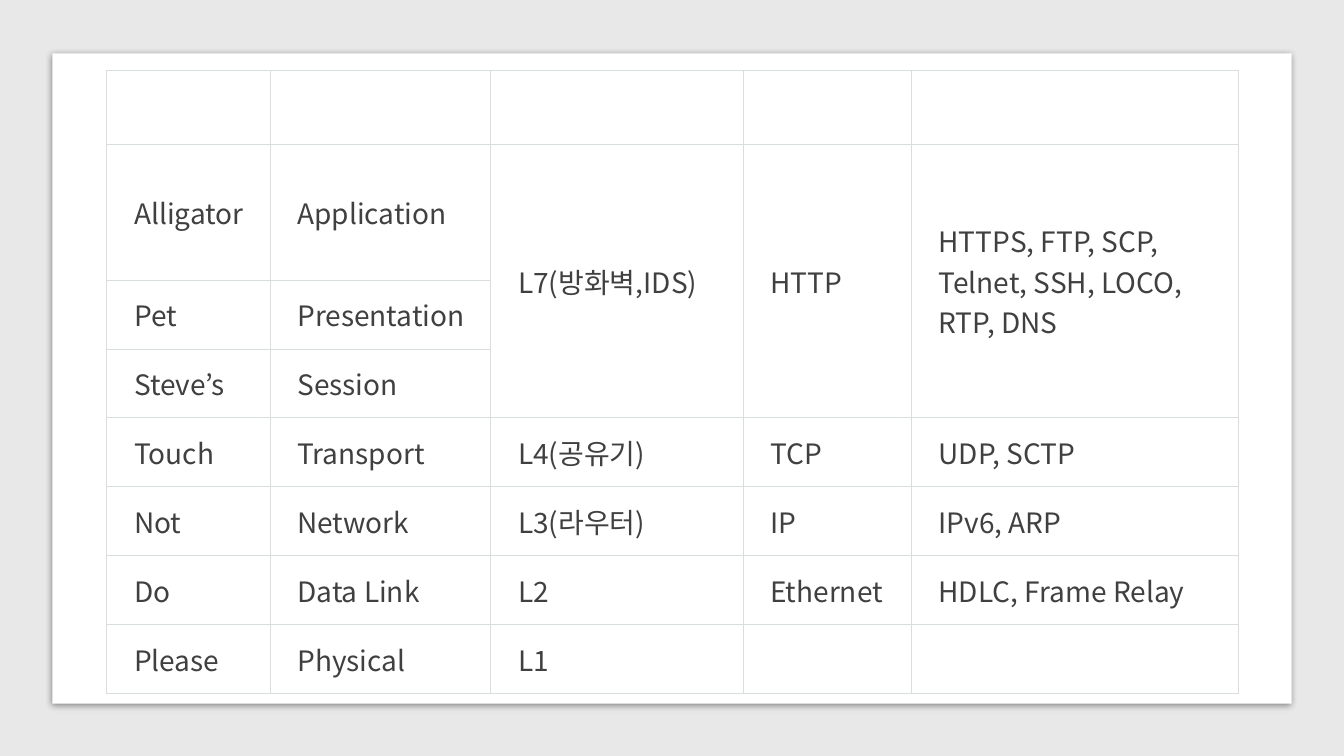
from dataclasses import dataclass

from lxml import etree
from pptx import Presentation
from pptx.dml.color import RGBColor
from pptx.enum.shapes import MSO_SHAPE
from pptx.enum.text import MSO_ANCHOR
from pptx.oxml.ns import qn
from pptx.util import Inches, Pt

RECT = MSO_SHAPE.RECTANGLE
MIDDLE = MSO_ANCHOR.MIDDLE


@dataclass(frozen=True)
class Theme:
    font: str = "Noto Sans CJK KR"
    size: int = 20
    text: str = "404040"
    backdrop: str = "E8E8E8"
    card: str = "FFFFFF"
    border: str = "D8DEDC"
    border_width: float = 0.75
    shadow: str = "000000"


THEME = Theme()

COLUMNS = [1.62, 2.19, 2.5, 1.67, 3.24]
ROW_HEIGHTS = [0.73, 1.35] + [0.68] * 6

# Mnemonic, layer, device, main protocol, other protocols
LAYERS = [
    [],
    ["Alligator", "Application", "L7(방화벽,IDS)", "HTTP",
     "HTTPS, FTP, SCP, Telnet, SSH, LOCO, RTP, DNS"],
    ["Pet", "Presentation"],
    ["Steve’s", "Session"],
    ["Touch", "Transport", "L4(공유기)", "TCP", "UDP, SCTP"],
    ["Not", "Network", "L3(라우터)", "IP", "IPv6, ARP"],
    ["Do", "Data Link", "L2", "Ethernet", "HDLC, Frame Relay"],
    ["Please", "Physical", "L1"],
]


def add_color(parent, color):
    fill = etree.SubElement(parent, qn("a:solidFill"))
    return etree.SubElement(fill, qn("a:srgbClr"), val=color)


def add_rect(slide, left, top, width, height, color):
    sp = slide.shapes.add_shape(
        RECT, Inches(left), Inches(top), Inches(width), Inches(height))
    sp.shadow.inherit = False
    sp.fill.solid()
    sp.fill.fore_color.rgb = RGBColor.from_string(color)
    sp.line.fill.background()
    return sp


def add_soft_shadow(sp):
    effects = sp.element.spPr.find(qn("a:effectLst"))
    shadow = etree.SubElement(
        effects, qn("a:outerShdw"), blurRad=str(Pt(5)), dist=str(Pt(1.4)),
        dir="5400000", algn="ctr", rotWithShape="0")
    color = etree.SubElement(shadow, qn("a:srgbClr"), val=THEME.shadow)
    etree.SubElement(color, qn("a:alpha"), val="43000")


def set_borders(cell):
    tc_pr = cell._tc.get_or_add_tcPr()
    for i, side in enumerate(("lnL", "lnR", "lnT", "lnB")):
        ln = etree.Element(qn(f"a:{side}"), w=str(Pt(THEME.border_width)))
        add_color(ln, THEME.border)
        tc_pr.insert(i, ln)


def style_cell(cell):
    cell.fill.background()
    set_borders(cell)
    cell.vertical_anchor = MIDDLE
    cell.margin_left = Inches(0.27)
    cell.margin_right = cell.margin_top = cell.margin_bottom = Inches(0.14)


def write_cell(cell, text):
    r = cell.text_frame.paragraphs[0].add_run()
    r.text = text
    r.font.size = Pt(THEME.size)
    r.font.color.rgb = RGBColor.from_string(THEME.text)
    r.font.name = THEME.font
    etree.SubElement(r.font._element, qn("a:ea"), typeface=THEME.font)


def add_layer_table(slide, left, top):
    frame = slide.shapes.add_table(
        len(ROW_HEIGHTS), len(COLUMNS), Inches(left), Inches(top),
        Inches(sum(COLUMNS)), Inches(sum(ROW_HEIGHTS)))
    table = frame.table
    table.first_row = table.horz_banding = False
    for column, width in zip(table.columns, COLUMNS):
        column.width = Inches(width)
    for row, height in zip(table.rows, ROW_HEIGHTS):
        row.height = Inches(height)
    for cell in table.iter_cells():
        style_cell(cell)
    for i, texts in enumerate(LAYERS):
        for j, text in enumerate(texts):
            write_cell(table.cell(i, j), text)
    # The top three layers share device and protocols
    for j in range(2, len(COLUMNS)):
        table.cell(1, j).merge(table.cell(3, j))


def main():
    prs = Presentation()
    prs.slide_width, prs.slide_height = Inches(13.33), Inches(7.5)
    slide = prs.slides.add_slide(prs.slide_layouts[6])

    # Backdrop and card
    add_rect(slide, 0, 0, 13.33, 7.5, THEME.backdrop)
    card = add_rect(slide, 0.52, 0.53, 12.29, 6.45, THEME.card)
    add_soft_shadow(card)

    # Network layers
    add_layer_table(slide, 1.06, 0.7)

    prs.save("out.pptx")


if __name__ == "__main__":
    main()
